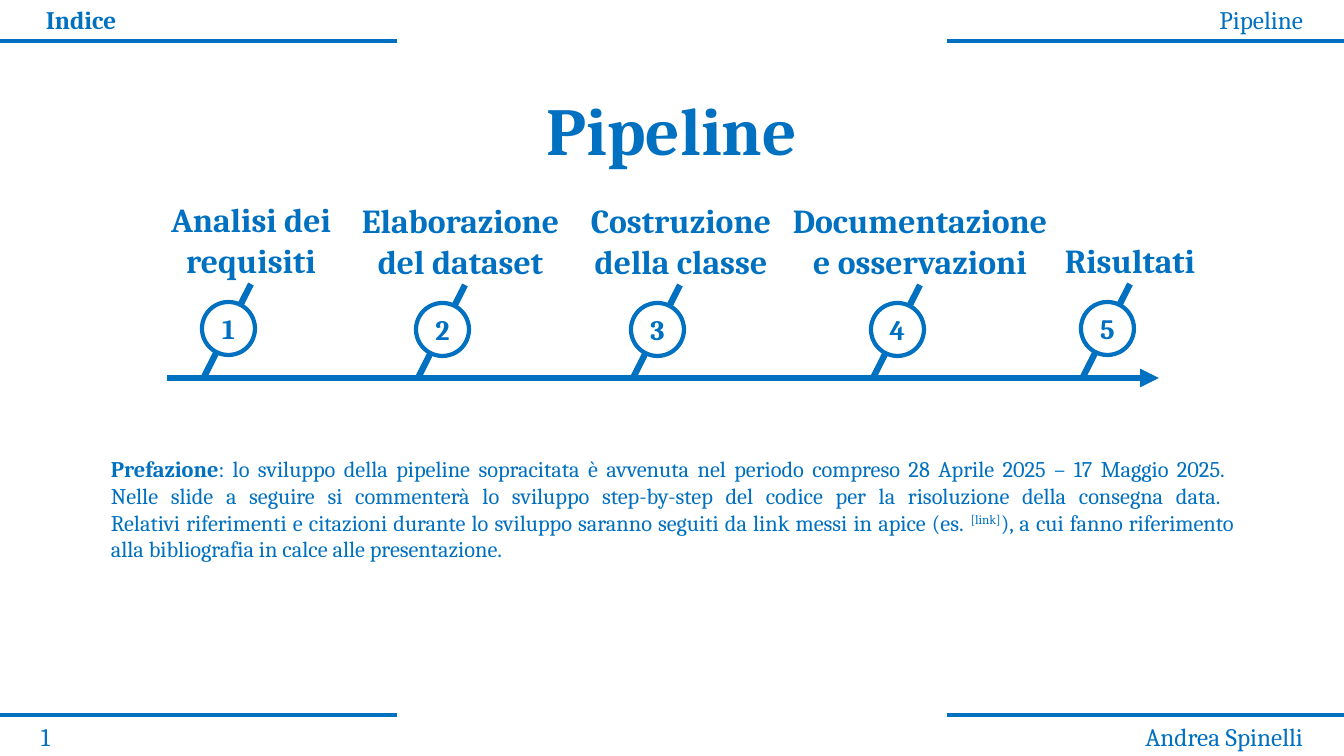
from lxml import etree
from pptx import Presentation
from pptx import util as u
from pptx.dml.color import RGBColor
from pptx.enum import shapes, text
from pptx.oxml.ns import qn

BLUE = RGBColor(0x00, 0x70, 0xC0)
WHITE = RGBColor(0xFF, 0xFF, 0xFF)
FONT = "Cambria"
EMU_PER_PX = 914400 / 100.8
LEFT, CENTER, RIGHT, JUSTIFY = (
    text.PP_ALIGN.LEFT, text.PP_ALIGN.CENTER,
    text.PP_ALIGN.RIGHT, text.PP_ALIGN.JUSTIFY)
TOP, MIDDLE, BOTTOM = (
    text.MSO_ANCHOR.TOP, text.MSO_ANCHOR.MIDDLE, text.MSO_ANCHOR.BOTTOM)


def px(*lengths):
    return [u.Emu(round(length * EMU_PER_PX)) for length in lengths]


class SlideBuilder:
    def __init__(self, slide):
        self.slide = slide

    def style_run(self, run, size, bold=False):
        font = run.font
        font.name, font.size, font.bold = FONT, u.Pt(size), bold
        font.color.rgb = BLUE

    def set_words(self, shape, words, size, bold, align, anchor):
        frame = shape.text_frame
        frame.text = words
        frame.word_wrap = True
        frame.auto_size = text.MSO_AUTO_SIZE.NONE
        frame.vertical_anchor = anchor
        paragraph = frame.paragraphs[0]
        paragraph.alignment = align
        for run in paragraph.runs:
            self.style_run(run, size, bold)

    def title(self, words, *box):
        title = self.slide.shapes.title
        title.left, title.top, title.width, title.height = px(*box)
        self.set_words(title, words, 48, True, CENTER, MIDDLE)

    def label(self, words, *box, size=18, bold=False, align=LEFT, anchor=TOP):
        label = self.slide.shapes.add_textbox(*px(*box))
        self.set_words(label, words, size, bold, align, anchor)
        return label

    def line(self, x1, y1, x2, y2, weight, arrow=False):
        line = self.slide.shapes.add_connector(
            shapes.MSO_CONNECTOR.STRAIGHT, *px(x1, y1, x2, y2))
        line.line.color.rgb = BLUE
        line.line.width = u.Pt(weight)
        properties = line._element.spPr
        if arrow:
            etree.SubElement(properties.find(qn("a:ln")), qn("a:tailEnd"), type="triangle")
        etree.SubElement(properties, qn("a:effectLst"))

    def badge(self, words, *box):
        badge = self.slide.shapes.add_shape(shapes.MSO_SHAPE.OVAL, *px(*box))
        badge.shadow.inherit = False
        badge.fill.solid()
        badge.fill.fore_color.rgb = WHITE
        badge.line.color.rgb = BLUE
        badge.line.width = u.Pt(3)
        frame = badge.text_frame
        frame.margin_left = frame.margin_right = 0
        frame.margin_top = frame.margin_bottom = 0
        self.set_words(badge, words, 20, True, CENTER, MIDDLE)

    def preface(self, heading, lines, link, ending, *box):
        preface = self.label(heading, *box, size=16, bold=True, align=JUSTIFY)
        paragraph = preface.text_frame.paragraphs[0]
        paragraph.space_after = u.Pt(6)

        def add(words):
            run = paragraph.add_run()
            run.text = words
            self.style_run(run, 16)
            return run

        for index, words in enumerate(lines):
            if index:
                paragraph.add_line_break()
            add(words)
        add(link).font._element.set("baseline", "30000")
        add(ending)
        for line_break in paragraph._p.findall(qn("a:br")):
            etree.SubElement(line_break, qn("a:rPr"), sz="1600")


def main():
    prs = Presentation()
    prs.slide_width, prs.slide_height = px(1344, 756)
    page = SlideBuilder(prs.slides.add_slide(prs.slide_layouts[5]))

    # Header and footer
    for rule_y in (41, 715):
        page.line(0, rule_y, 397, rule_y, 3)
        page.line(947, rule_y, 1344, rule_y, 3)
    page.label("Indice", 36, -1, 397, 40, bold=True)
    page.label("Pipeline", 916, -1, 397, 40, align=RIGHT)
    page.label("1", 31, 716, 397, 40)
    page.label("Andrea Spinelli", 916, 716, 397, 40, align=RIGHT)

    page.title("Pipeline", 31, 83, 1282, 92)

    # Timeline: label, its left and width, foot of the stem, vertical shift
    page.line(167, 378, 1159, 378, 4.5, arrow=True)
    steps = [
        ("Analisi dei requisiti", 156, 190, 204, 0),
        ("Elaborazione del dataset", 346, 229, 418, 1),
        ("Costruzione della classe", 575, 212, 633, 1),
        ("Documentazione e osservazioni", 778, 284, 873, 1),
        ("Risultati", 1035, 190, 1083, 0),
    ]
    for number, (step, left, width, foot, shift) in enumerate(steps, 1):
        page.line(foot, 377 + shift, foot + 47, 284 + shift, 4.5)
        page.badge(str(number), foot - 2, 302 + shift, 53, 53)
        page.label(step, left, 193 + shift, width, 92,
                   size=24, bold=True, align=CENTER, anchor=BOTTOM)

    # Preface
    page.preface(
        "Prefazione",
        [": lo sviluppo della pipeline sopracitata è avvenuta nel periodo "
         "compreso 28 Aprile 2025 – 17 Maggio 2025. ",
         "Nelle slide a seguire si commenterà lo sviluppo step-by-step del "
         "codice per la risoluzione della consegna data. ",
         "Relativi riferimenti e citazioni durante lo sviluppo saranno "
         "seguiti da link messi in apice (es. "],
        "[link]",
        "), a cui fanno riferimento alla bibliografia in calce alle presentazione.",
        101, 450, 1143, 119)

    prs.save("out.pptx")


if __name__ == "__main__":
    main()
